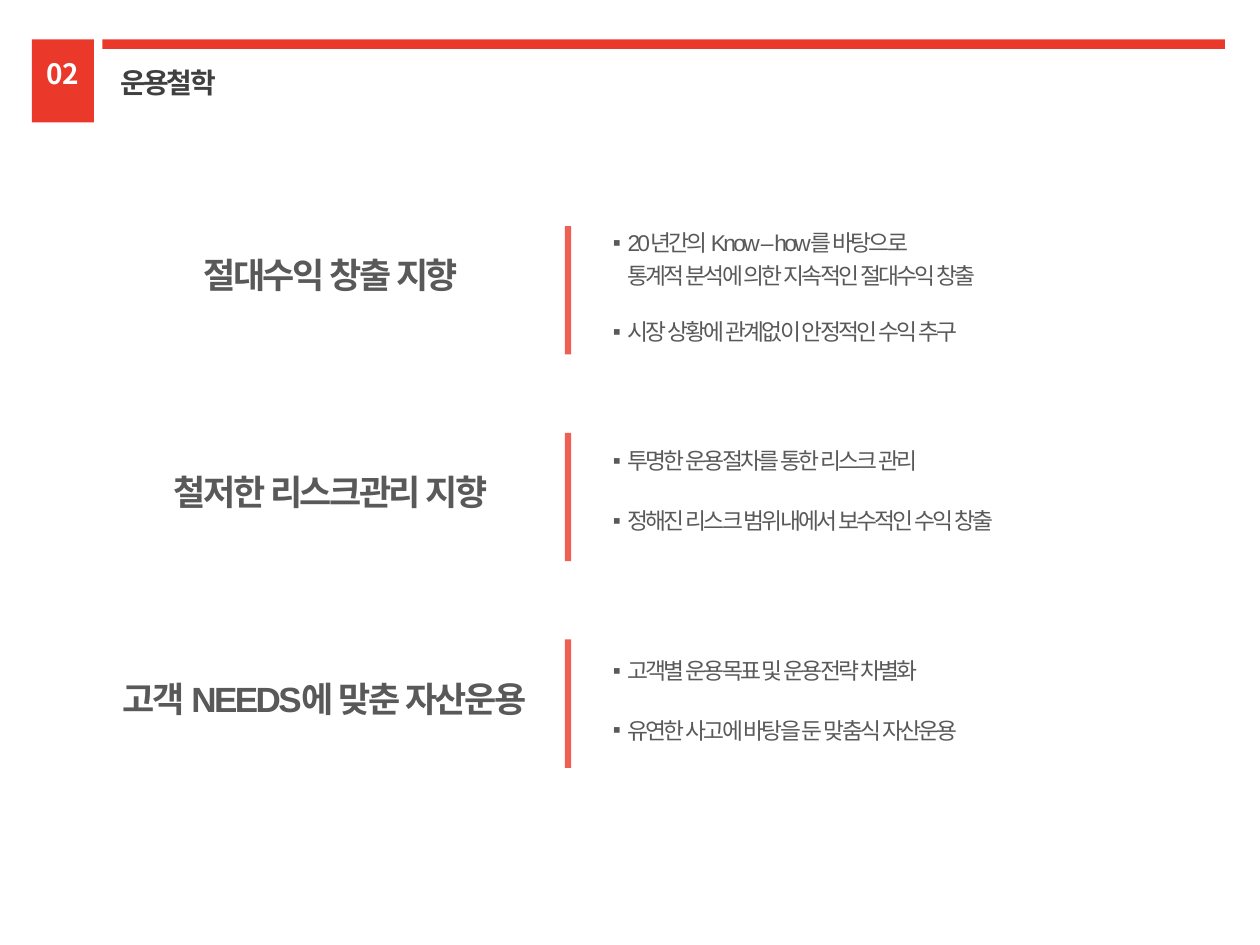
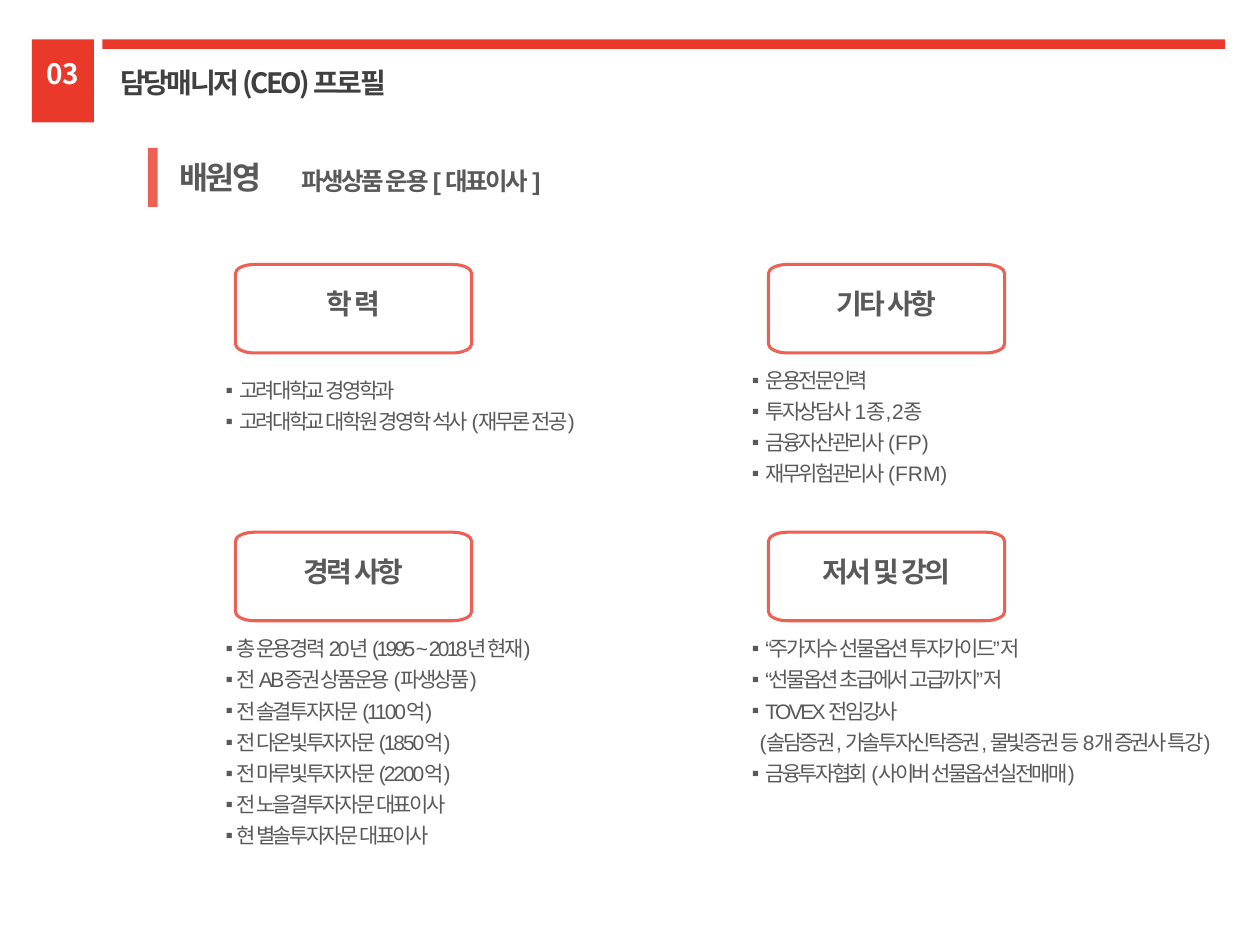
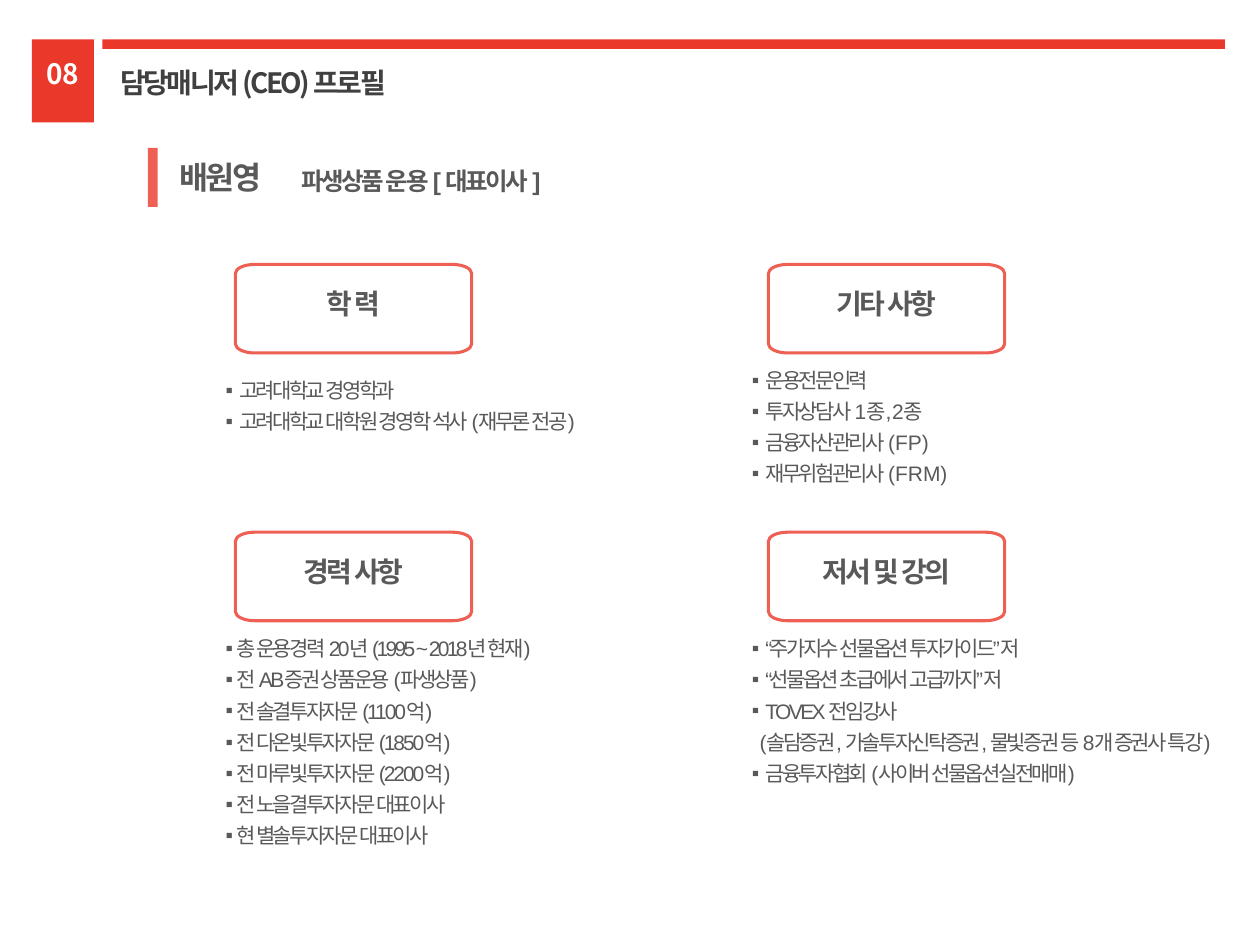
from lxml.etree import SubElement
from pptx import Presentation
from pptx.dml.color import RGBColor
from pptx.enum.shapes import MSO_SHAPE
from pptx.enum.text import MSO_ANCHOR, MSO_AUTO_SIZE, PP_ALIGN
from pptx.oxml.ns import qn
from pptx.util import Pt

RED = RGBColor(0xEA, 0x38, 0x2A)
CORAL = RGBColor(0xEE, 0x5F, 0x54)
DARK = RGBColor(0x40, 0x40, 0x40)
GRAY = RGBColor(0x59, 0x59, 0x59)
WHITE = RGBColor(0xFF, 0xFF, 0xFF)
TEXT_FONT, HEADER_FONT = "Arial", "Noto Sans CJK KR"
TIGHT = -1.5
COMPARISON_LAYOUT = 4  # a title and four body placeholders

# A list item is a text, a (text, tail, tail spacing) tuple, or a Continuation.


class Continuation(str):
    """A line without a bullet that carries on the item above."""


PHILOSOPHY = [
    {"heading": "절대수익 창출 지향", "center": 189, "heading_top": 141.7,
     "list_top": 127.3, "gap": 16.5,
     "items": ["20년간의 Know – how를 바탕으로",
               Continuation("통계적 분석에 의한 지속적인 절대수익 창출"),
               "시장 상황에 관계없이 안정적인 수익 추구"]},
    {"heading": "철저한 리스크관리 지향", "center": 189, "heading_top": 265.5,
     "list_top": 251.8, "gap": 18.7,
     "items": ["투명한 운용절차를 통한 리스크 관리",
               "정해진 리스크 범위내에서 보수적인 수익 창출"]},
    {"heading": "고객 NEEDS에 맞춘 자산운용", "center": 185.4, "heading_top": 383.6,
     "list_top": 371.9, "gap": 18.5,
     "items": ["고객별 운용목표 및 운용전략 차별화",
               "유연한 사고에 바탕을 둔 맞춤식 자산운용"]},
]
MANAGER, ROLE = "배원영", "파생상품 운용 [ 대표이사 ]"
# Filled row by row, two sections to a row
PROFILE = [
    {"heading": "학 력", "list_top": 212.3, "indent": 7.8,
     "items": ["고려대학교 경영학과", "고려대학교 대학원 경영학 석사 (재무론 전공)"]},
    {"heading": "기타 사항", "list_top": 206.6, "indent": 7.8,
     "items": ["운용전문인력", "투자상담사 1종, 2종",
               ("금융자산관리사 ", "(FP)", 0), ("재무위험관리사 ", "(FRM)", 0)]},
    {"heading": "경력 사항", "list_top": 359.9, "indent": 6.2,
     "items": ["총 운용경력 20년 (1995 ~ 2018년 현재)",
               "전 AB증권 상품운용 (파생상품)",
               ("전 솔결투자자문 ", "(1100억)", -1.2),
               ("전 다온빛투자자문 ", "(1850억)", -1.2),
               ("전 마루빛투자자문 ", "(2200억)", -1.2),
               "전 노을결투자자문 대표이사",
               "현 별솔투자자문 대표이사"]},
    {"heading": "저서 및 강의", "list_top": 359.9, "indent": 7.8,
     "items": ["“주가지수 선물옵션 투자가이드” 저",
               "“선물옵션 초급에서 고급까지” 저",
               "TOVEX 전임강사",
               Continuation("(솔담증권, 가솔투자신탁증권, 물빛증권 등 8개 증권사 특강)"),
               "금융투자협회 (사이버 선물옵션실전매매)"]},
]


def style(paragraph, size, color, bold=False, spacing=TIGHT, typeface=TEXT_FONT):
    paragraph.line_spacing = Pt(round(size * 1.19, 1))
    font = paragraph.font
    font.size, font.bold, font.name = Pt(size), bold, typeface
    font.color.rgb = color
    properties = paragraph._p.pPr.find(qn("a:defRPr"))
    properties.set("spc", str(round(spacing * 100)))
    SubElement(properties, qn("a:ea")).set("typeface", typeface)


def place(shape, left, top, width, height):
    shape.left, shape.top, shape.width, shape.height = map(Pt, (left, top, width, height))


def fix_frame(frame, anchor=MSO_ANCHOR.TOP):
    frame.word_wrap = True
    frame.auto_size = MSO_AUTO_SIZE.NONE
    frame.vertical_anchor = anchor


def add_bar(slide, color, left, top, width, height):
    bar = slide.shapes.add_shape(MSO_SHAPE.RECTANGLE, Pt(left), Pt(top), Pt(width), Pt(height))
    bar.shadow.inherit = False
    bar.fill.solid()
    bar.fill.fore_color.rgb = color
    bar.line.fill.background()
    return bar


def add_label(slide, text, left, top, width, size, align=PP_ALIGN.LEFT):
    label = slide.shapes.add_textbox(Pt(left), Pt(top), Pt(width), Pt(size * 1.6))
    fix_frame(label.text_frame)
    paragraph = label.text_frame.paragraphs[0]
    paragraph.text, paragraph.alignment = text, align
    style(paragraph, size, GRAY, bold=True)


def set_bullet(paragraph, indent, bulleted):
    properties = paragraph._p.get_or_add_pPr()
    properties.set("marL", str(Pt(indent)))
    properties.set("indent", str(-Pt(indent) if bulleted else 0))
    if bulleted:
        SubElement(properties, qn("a:buFont")).set("typeface", TEXT_FONT)
        SubElement(properties, qn("a:buChar")).set("char", "▪")
    else:
        SubElement(properties, qn("a:buNone"))


def fill_list(body, items, box, size, indent, gap=3.5, continuation_indent=None):
    place(body, *box)
    frame = body.text_frame
    fix_frame(frame)
    frame.margin_right = 0
    for index, item in enumerate(items):
        paragraph = frame.add_paragraph() if index else frame.paragraphs[0]
        bulleted = not isinstance(item, Continuation)
        text, *tail = item if isinstance(item, tuple) else (item,)
        paragraph.add_run().text = text
        if tail:
            run = paragraph.add_run()
            run.text = tail[0]
            run._r.get_or_add_rPr().set("spc", str(round(tail[1] * 100)))
        set_bullet(paragraph, indent if bulleted else continuation_indent or indent, bulleted)
        paragraph.alignment = PP_ALIGN.LEFT
        paragraph.space_before = Pt(0 if not index else gap if bulleted else 3.5)
        paragraph.space_after = Pt(0)
        style(paragraph, size, GRAY)


def round_corners(box):
    """Turn every second segment of the outline into a curve around its corner."""
    path = box._element.find(".//" + qn("a:path"))
    points = [step[0] for step in path if len(step)]
    for index in range(1, len(points), 2):
        start, end = ((int(point.get("x")), int(point.get("y")))
                      for point in points[index - 1:index + 1])
        leaves_sideways = index % 4 == 1
        corner = (end[0], start[1]) if leaves_sideways else (start[0], end[1])
        controls = [tuple(round(a + (b - a) * 0.55) for a, b in zip(anchor, corner))
                    for anchor in (start, end)]
        segment = points[index].getparent()
        curve = SubElement(path, qn("a:cubicBezTo"))
        for x, y in (*controls, end):
            point = SubElement(curve, qn("a:pt"))
            point.set("x", str(x))
            point.set("y", str(y))
        path.replace(segment, curve)


def add_heading_box(slide, text, left, top, width=135, height=50.6, rx=11, ry=5.2):
    """Draw a box with elliptical corners around a centred heading."""
    right, bottom = left + width, top + height
    outline = [(Pt(x), Pt(y)) for x, y in (
        (right - rx, top), (right, top + ry), (right, bottom - ry), (right - rx, bottom),
        (left + rx, bottom), (left, bottom - ry), (left, top + ry), (left + rx, top))]
    builder = slide.shapes.build_freeform(*outline[0])
    builder.add_line_segments(outline[1:], close=True)
    box = builder.convert_to_shape()
    round_corners(box)
    box.shadow.inherit = False
    box.fill.background()
    box.line.color.rgb, box.line.width = CORAL, Pt(1.75)
    fix_frame(box.text_frame, MSO_ANCHOR.MIDDLE)
    box.text_frame.margin_bottom = Pt(9)
    paragraph = box.text_frame.paragraphs[0]
    paragraph.text, paragraph.alignment = text, PP_ALIGN.CENTER
    style(paragraph, 16, GRAY, bold=True)


def add_section_slide(deck, number, title):
    slide = deck.slides.add_slide(deck.slide_layouts[COMPARISON_LAYOUT])
    place(slide.shapes.title, 61.9, 33.8, 278.6, 26.6)
    fix_frame(slide.shapes.title.text_frame)
    heading = slide.shapes.title.text_frame.paragraphs[0]
    heading.text, heading.alignment = title, PP_ALIGN.LEFT
    style(heading, 16, DARK, bold=True, typeface=HEADER_FONT)

    add_bar(slide, RED, 58.5, 22.5, 641.5, 5.5)
    badge = add_bar(slide, RED, 18.2, 22.5, 35.5, 47.5).text_frame
    fix_frame(badge)
    badge.margin_left = badge.margin_right = 0
    badge.margin_top = Pt(10)
    paragraph = badge.paragraphs[0]
    paragraph.text, paragraph.alignment = number, PP_ALIGN.CENTER
    style(paragraph, 16, WHITE, bold=True, spacing=0, typeface=HEADER_FONT)

    bodies = [slide.placeholders[index] for index in range(1, 5)]
    return slide, bodies


def add_philosophy_slide(deck, number):
    slide, bodies = add_section_slide(deck, number, "운용철학")
    heading_width = 320
    for row, (principle, body) in enumerate(zip(PHILOSOPHY, bodies)):
        add_bar(slide, CORAL, 322.8, 129.2 + row * 118.1, 3.6, 73.4)
        add_label(slide, principle["heading"], principle["center"] - heading_width / 2,
                  principle["heading_top"], heading_width, 20, PP_ALIGN.CENTER)
        fill_list(body, principle["items"], (343, principle["list_top"], 370, 76),
                  13, 8.4, principle["gap"])
    for unused in bodies[len(PHILOSOPHY):]:
        unused._element.getparent().remove(unused._element)


def add_profile_slide(deck, number):
    slide, bodies = add_section_slide(deck, number, "담당매니저 (CEO) 프로필")
    add_bar(slide, CORAL, 84.5, 84.5, 5.6, 33.8)
    add_label(slide, MANAGER, 95.5, 87, 70, 18)
    add_label(slide, ROLE, 165.3, 91.4, 198.7, 14)
    for index, (section, body) in enumerate(zip(PROFILE, bodies)):
        row, column = divmod(index, 2)
        add_heading_box(slide, section["heading"], 134.5 + column * 304.6, 151.1 + row * 153)
        items = section["items"]
        box = (121.7 + column * 300.7, section["list_top"], 323 if column else 284,
               7.2 + 18 * len(items))
        fill_list(body, items, box, 12, section["indent"], continuation_indent=4.5)


def main():
    deck = Presentation()
    deck.slide_width, deck.slide_height = Pt(720), Pt(540)
    add_philosophy_slide(deck, "02")
    for number in ("03", "08"):
        add_profile_slide(deck, number)
    deck.save("out.pptx")


if __name__ == "__main__":
    main()
